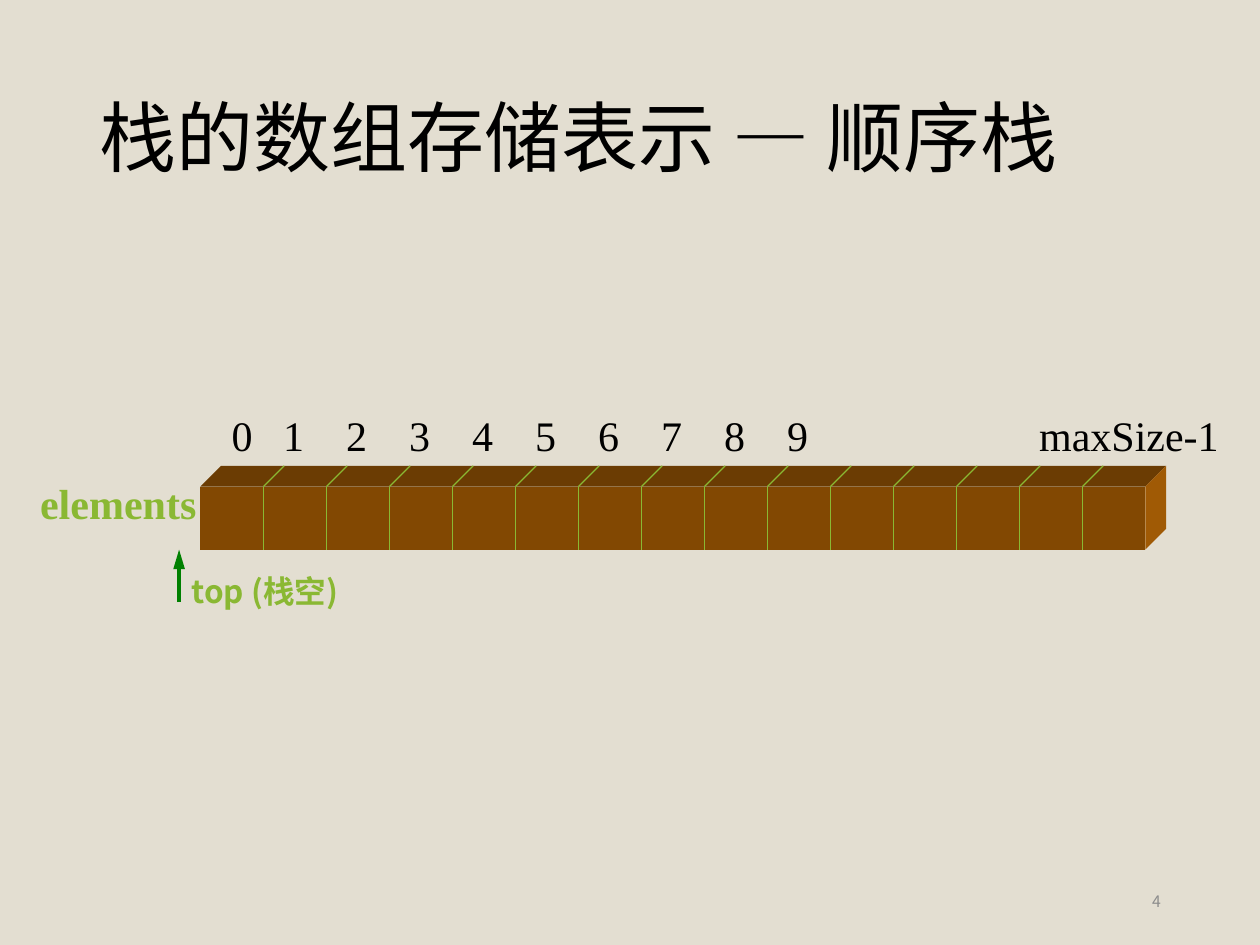
from pptx import Presentation
from pptx.dml.color import RGBColor
from pptx.enum.shapes import MSO_CONNECTOR
from pptx.enum.text import MSO_ANCHOR, PP_ALIGN
from pptx.oxml.ns import qn
from pptx.util import Cm, Pt
from lxml.etree import SubElement

COLORS = {
    "background": "E3DED1",
    "front": "824802",
    "top": "6B3C03",
    "side": "A05A05",
    "green": "8AB833",
    "arrow": "008000",
    "text": "000000",
    "number": "8C8C8C",
}
SANS = "Noto Sans CJK SC"
SERIF = "Times New Roman"

CELL = 1.27
CELL_COUNT = 15
DEPTH = 0.42
LEFT, TOP = 4.04, 9.81
RIGHT, BOTTOM = LEFT + CELL * CELL_COUNT, TOP + CELL


def write_text(frame, text, size=18, font=SANS, color="text", bold=False,
               align=PP_ALIGN.LEFT, anchor=MSO_ANCHOR.TOP, wrap=True,
               spacing=None, tabs=()):
    frame.word_wrap = wrap
    frame.vertical_anchor = anchor
    paragraph = frame.paragraphs[0]
    paragraph.alignment = align
    paragraph.line_spacing = spacing
    if tabs:
        tab_list = SubElement(paragraph._p.get_or_add_pPr(), qn("a:tabLst"))
        for position in tabs:
            SubElement(tab_list, qn("a:tab"), pos=str(Cm(position)), algn="l")
    run = paragraph.add_run()
    run.text = text
    run.font.size = Pt(size)
    run.font.bold = bold
    run.font.color.rgb = RGBColor.from_string(COLORS[color])
    run.font.name = font
    SubElement(run._r.get_or_add_rPr(), qn("a:ea"), typeface=font)


class SlideBuilder:
    def __init__(self, presentation):
        self.slide = presentation.slides.add_slide(presentation.slide_layouts[5])
        fill = self.slide.background.fill
        fill.solid()
        fill.fore_color.rgb = RGBColor.from_string(COLORS["background"])

    def title(self, text, left, top, width, height, **style):
        shape = self.slide.shapes.title
        shape.left, shape.top = Cm(left), Cm(top)
        shape.width, shape.height = Cm(width), Cm(height)
        write_text(shape.text_frame, text, **style)

    def label(self, text, left, top, width, height, **style):
        shape = self.slide.shapes.add_textbox(Cm(left), Cm(top), Cm(width), Cm(height))
        write_text(shape.text_frame, text, **style)

    def face(self, points, color):
        corners = [(Cm(x), Cm(y)) for x, y in points]
        builder = self.slide.shapes.build_freeform(*corners[0])
        builder.add_line_segments(corners[1:], close=True)
        shape = builder.convert_to_shape()
        shape.shadow.inherit = False
        shape.fill.solid()
        shape.fill.fore_color.rgb = RGBColor.from_string(COLORS[color])
        shape.line.fill.background()

    def line(self, start, end, color="green", width=0.75, arrow=False):
        connector = self.slide.shapes.add_connector(
            MSO_CONNECTOR.STRAIGHT, *(Cm(value) for value in start + end))
        connector.line.color.rgb = RGBColor.from_string(COLORS[color])
        connector.line.width = Pt(width)
        if arrow:
            SubElement(connector.line._get_or_add_ln(), qn("a:tailEnd"),
                       type="triangle", w="med", len="lg")
        SubElement(connector._element.spPr, qn("a:effectLst"))


def main():
    presentation = Presentation()
    presentation.slide_width, presentation.slide_height = Cm(25.4), Cm(19.05)
    builder = SlideBuilder(presentation)

    builder.title("栈的数组存储表示 — 顺序栈", 1.75, 1.02, 21.9, 3.68,
                  size=44, anchor=MSO_ANCHOR.MIDDLE, spacing=0.9)

    back_top, back_right = TOP - DEPTH, RIGHT + DEPTH
    builder.face([(LEFT, TOP), (RIGHT, TOP), (RIGHT, BOTTOM), (LEFT, BOTTOM)], "front")
    builder.face([(LEFT, TOP), (LEFT + DEPTH, back_top),
                  (back_right, back_top), (RIGHT, TOP)], "top")
    builder.face([(RIGHT, TOP), (back_right, back_top),
                  (back_right, BOTTOM - DEPTH), (RIGHT, BOTTOM)], "side")

    for index in range(1, CELL_COUNT):
        x = LEFT + CELL * index
        builder.line((x, TOP), (x, BOTTOM))
        builder.line((x, TOP), (x + DEPTH, back_top))

    indexes = [str(index) for index in range(10)] + ["maxSize-1"]
    tabs = [1.04 + CELL * step for step in [*range(9), 12]]
    builder.label("\t".join(indexes), 4.42, 8.13, 20.8, CELL,
                  size=24, font=SERIF, tabs=tabs)

    builder.line((3.61, 12.14), (3.61, BOTTOM), color="arrow", width=2.25, arrow=True)
    builder.label("top (栈空)", 3.61, 11.4, 4.17, CELL,
                  color="green", bold=True, wrap=False)
    builder.label("elements", 0.56, 9.5, 3.66, CELL,
                  size=24, font=SERIF, color="green", bold=True, wrap=False)
    builder.label("4", 17.93, 17.65, 5.72, 1.02, size=9, color="number",
                  align=PP_ALIGN.RIGHT, anchor=MSO_ANCHOR.MIDDLE)

    presentation.save("out.pptx")


if __name__ == "__main__":
    main()
